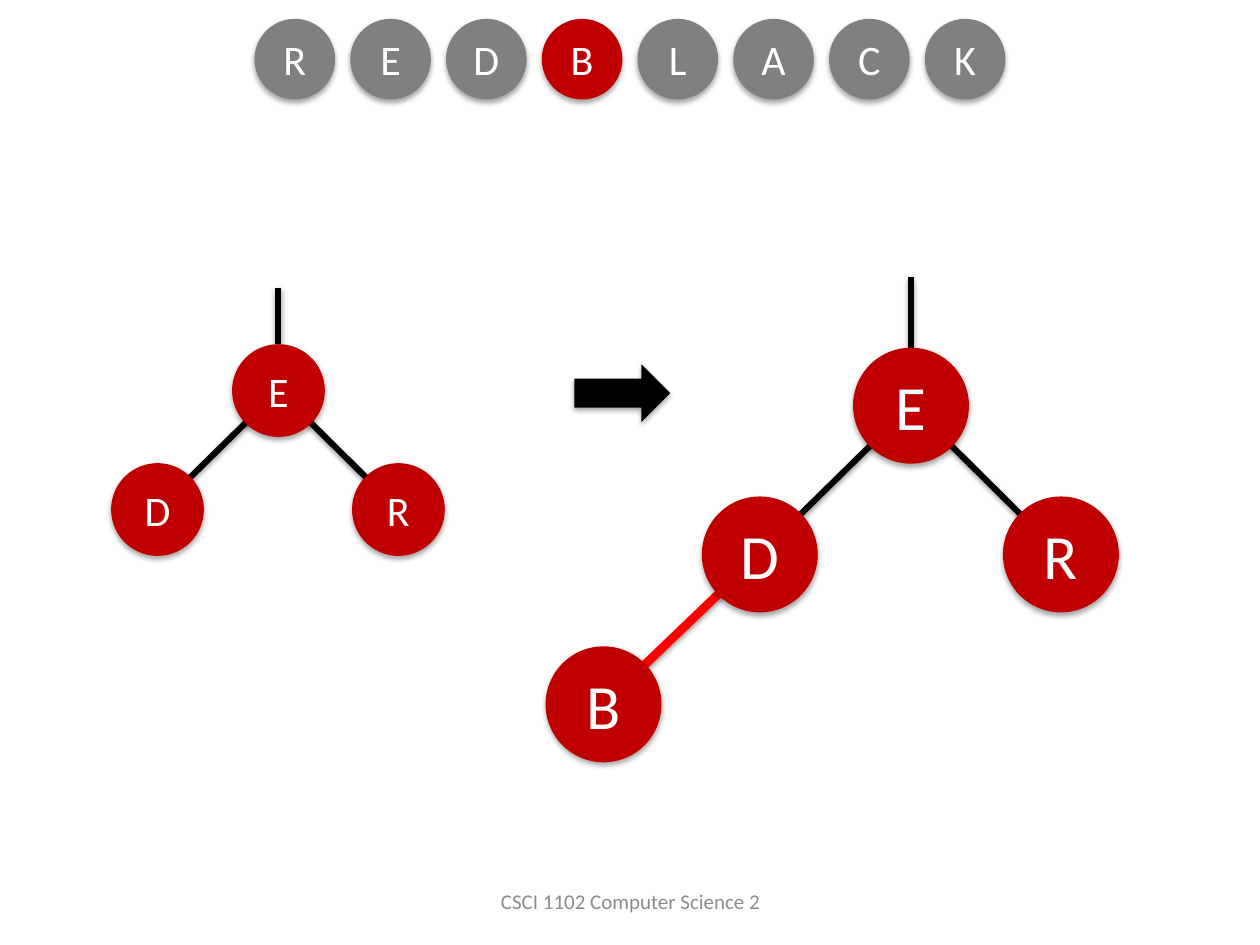
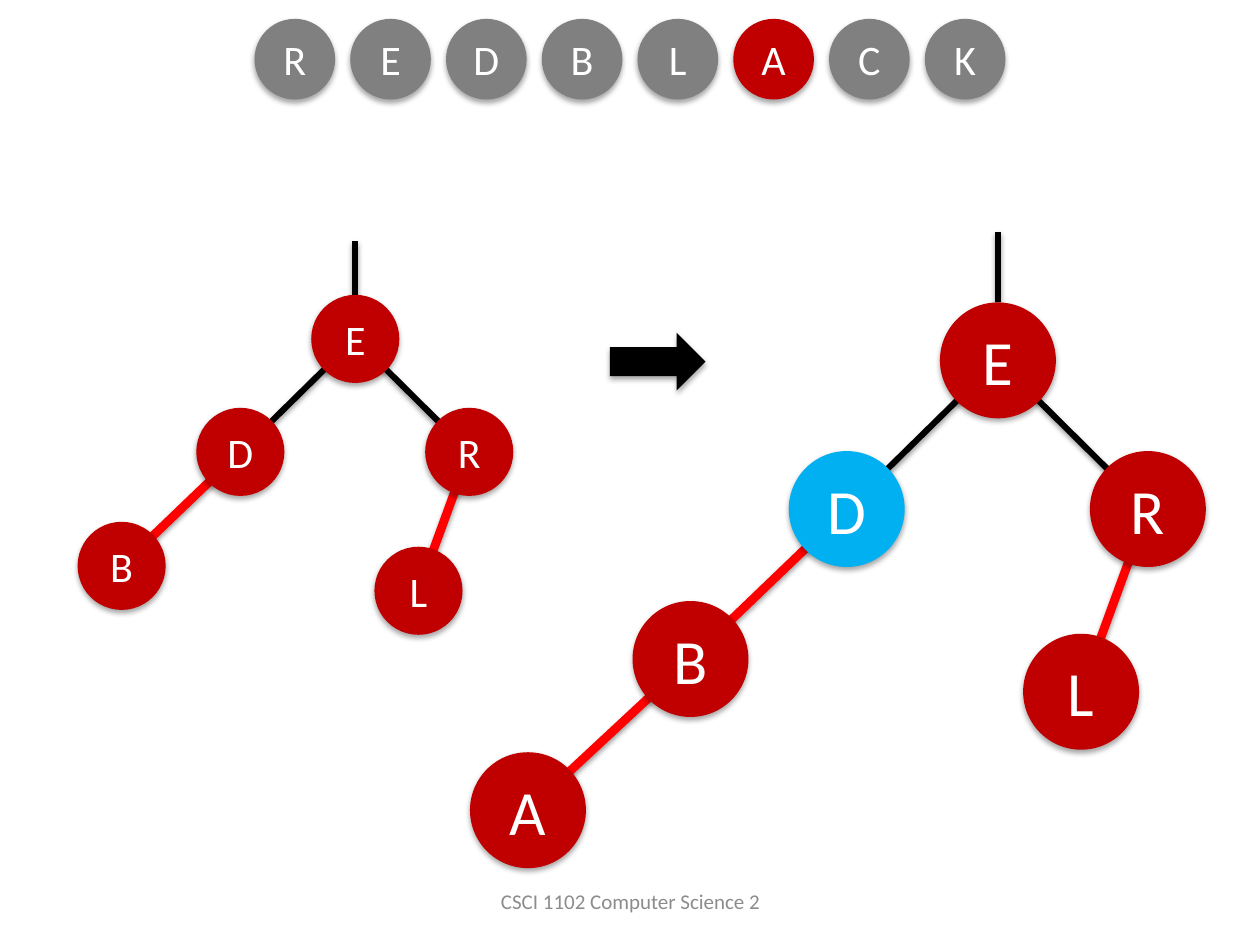
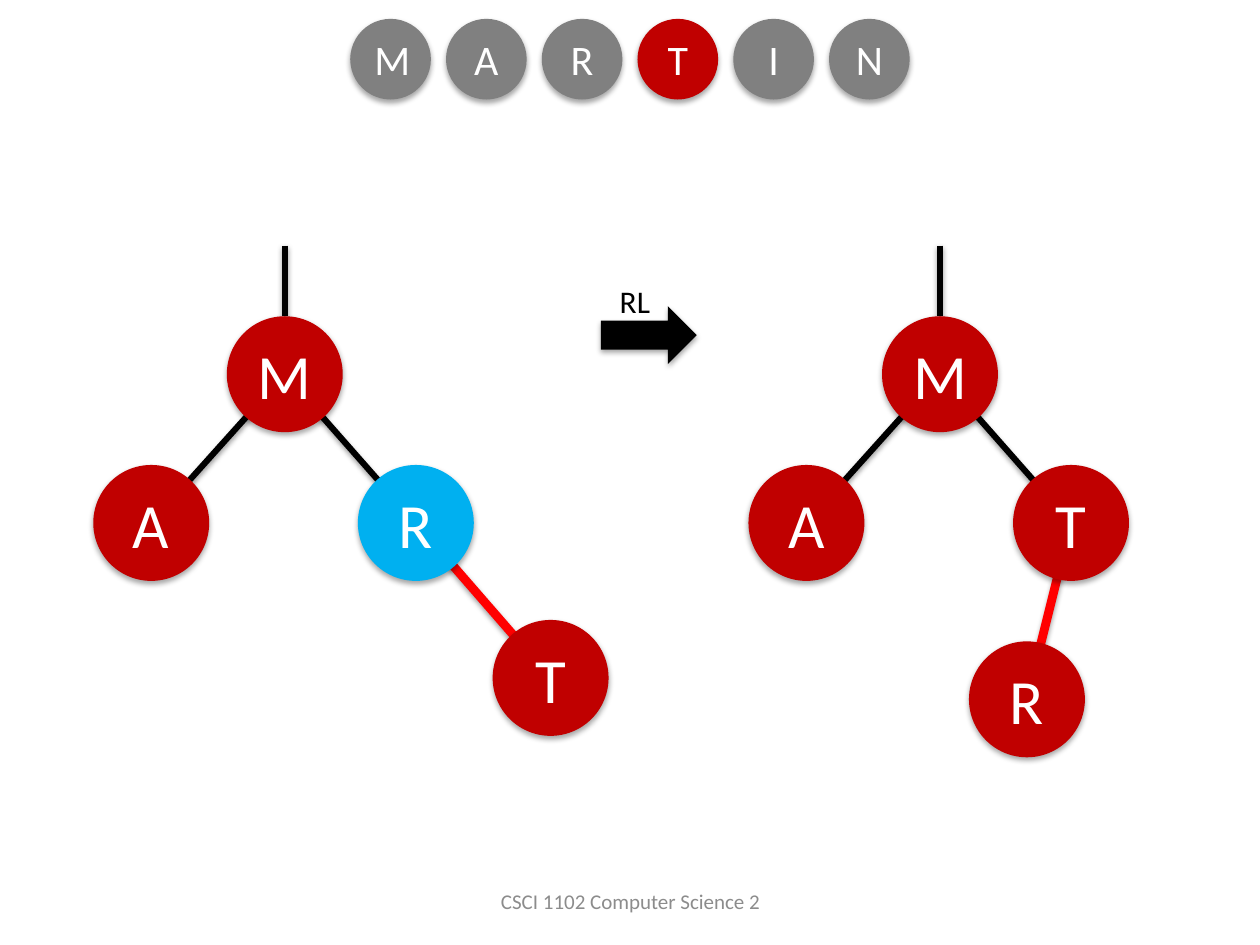
from lxml import etree
from pptx import Presentation, util as u
from pptx.dml.color import RGBColor
from pptx.enum import shapes, text
from pptx.oxml.ns import qn

COLORS = {"red": "C00000", "blue": "00B0F0", "gray": "808080", "black": "000000",
          "white": "FFFFFF", "link": "FF0000", "footer": "8C8C8C"}
FONT = "Calibri"
FOOTER = "CSCI 1102 Computer Science 2"
NODE, STEM = 0.92, 0.56          # full-size node diameter and root stem
ITEM, PITCH, ITEM_TOP = 0.64, 0.76, 0.15
ARROW_SIZE = (0.76, 0.46)

# Node centres relative to the root, at full size: letter -> (x, y, parent)
LEVEL_RED = {"E": (0, 0, None), "D": (-1.2, 1.18, "E"), "R": (1.19, 1.18, "E")}
WITH_B = {**LEVEL_RED, "B": (-2.44, 2.37, "D")}
WITH_L = {**WITH_B, "L": (0.66, 2.63, "R")}
WITH_A = {**WITH_L, "A": (-3.73, 3.57, "B")}
LEVEL_MARTIN = {"M": (0, 0, None), "A": (-1.06, 1.18, "M")}
BEFORE_TURN = {**LEVEL_MARTIN, "R": (1.04, 1.18, "M"), "T": (2.11, 2.41, "R")}
AFTER_TURN = {**LEVEL_MARTIN, "T": (1.04, 1.18, "M"), "R": (0.69, 2.58, "T")}

# Each tree: nodes, root centre, scale, letters on red links, letters in blue
SLIDES = [
    {"word": "REDBLACK", "current": 3, "arrow": (4.56, 2.89), "label": None,
     "trees": [(LEVEL_RED, (2.21, 3.1), 0.8, "", ""),
               (WITH_B, (7.23, 3.22), 1, "B", "")]},
    {"word": "REDBLACK", "current": 5, "arrow": (4.84, 2.64), "label": None,
     "trees": [(WITH_L, (2.82, 2.69), 0.76, "BL", ""),
               (WITH_A, (7.92, 2.86), 1, "BLA", "D")]},
    {"word": "MARTIN", "current": 3, "arrow": (4.77, 2.43), "label": "RL",
     "trees": [(BEFORE_TURN, (2.26, 2.97), 1, "T", "R"),
               (AFTER_TURN, (7.46, 2.97), 1, "R", "")]},
]


def rgb(name):
    return RGBColor.from_string(COLORS[name])


def add_shadow(shape, distance, opacity):
    effects = etree.SubElement(shape._element.spPr, qn("a:effectLst"))
    shadow = etree.SubElement(effects, qn("a:outerShdw"), blurRad="40000",
                              dist=str(distance), dir="5400000", rotWithShape="0")
    color = etree.SubElement(shadow, qn("a:srgbClr"), val=COLORS["black"])
    etree.SubElement(color, qn("a:alpha"), val=str(opacity * 1000))


def write(shape, words, size, color, align=text.PP_ALIGN.CENTER,
          anchor=text.MSO_ANCHOR.MIDDLE, wrap=True):
    frame = shape.text_frame
    frame.word_wrap, frame.vertical_anchor = wrap, anchor
    para = frame.paragraphs[0]
    para.alignment = align
    span = para.add_run()
    span.text = words
    for name, value in {"name": FONT, "size": u.Pt(size)}.items():
        setattr(span.font, name, value)
    span.font.color.rgb = rgb(color)


def add_solid(parent, kind, left, top, width, height, color):
    shape = parent.shapes.add_shape(kind, *map(u.Inches, (left, top, width, height)))
    shape.fill.solid()
    shape.fill.fore_color.rgb = rgb(color)
    shape.line.fill.background()
    add_shadow(shape, 23000, 35)
    return shape


def add_circle(parent, letter, center, diameter, size, color):
    left, top = (value - diameter / 2 for value in center)
    circle = add_solid(parent, shapes.MSO_SHAPE.OVAL, left, top, diameter, diameter, color)
    write(circle, letter, size, "white")


def add_line(parent, start, end, color="black", width=3.5):
    line = parent.shapes.add_connector(shapes.MSO_CONNECTOR.STRAIGHT,
                                       *map(u.Inches, (*start, *end)))
    line.line.color.rgb = rgb(color)
    line.line.width = u.Pt(width)
    add_shadow(line, 20000, 38)


def add_tree(page, nodes, root, scale, red_links, blue_nodes):
    group = page.shapes.add_group_shape()
    centers = {letter: (root[0] + x * scale, root[1] + y * scale)
               for letter, (x, y, _) in nodes.items()}
    # Links lie behind the nodes
    for letter, (_, _, above) in nodes.items():
        if above:
            style = ("link", 5) if letter in red_links else ("black", 3.5)
            add_line(group, centers[above], centers[letter], *style)
    root_top = root[1] - NODE * scale / 2
    add_line(group, (root[0], root_top - STEM * scale), (root[0], root_top))
    for letter, center in centers.items():
        add_circle(group, letter, center, NODE * scale, 36 if scale == 1 else 24,
                   "blue" if letter in blue_nodes else "red")


def add_word(page, word, current):
    group = page.shapes.add_group_shape()
    first = 5 - (len(word) - 1) * PITCH / 2
    for index, letter in enumerate(word):
        center = (first + index * PITCH, ITEM_TOP + ITEM / 2)
        add_circle(group, letter, center, ITEM, 24, "red" if index == current else "gray")


def add_text(page, box, *content, **layout):
    write(page.shapes.add_textbox(*map(u.Inches, box)), *content, **layout)


def main():
    deck = Presentation()
    deck.slide_width, deck.slide_height = u.Inches(10), u.Inches(7.5)
    for content in SLIDES:
        page = deck.slides.add_slide(deck.slide_layouts[6])
        add_text(page, (3.42, 6.95, 3.17, 0.4), FOOTER, 12, "footer")
        for tree in content["trees"]:
            add_tree(page, *tree)
        add_word(page, content["word"], content["current"])
        left, top = content["arrow"]
        add_solid(page, shapes.MSO_SHAPE.RIGHT_ARROW, left, top, *ARROW_SIZE, "black")
        if content["label"]:
            add_text(page, (left + 0.05, top - 0.24, 0.45, 0.4), content["label"], 18, "black",
                     align=text.PP_ALIGN.LEFT, anchor=text.MSO_ANCHOR.TOP, wrap=False)
    deck.save("out.pptx")


if __name__ == "__main__":
    main()
